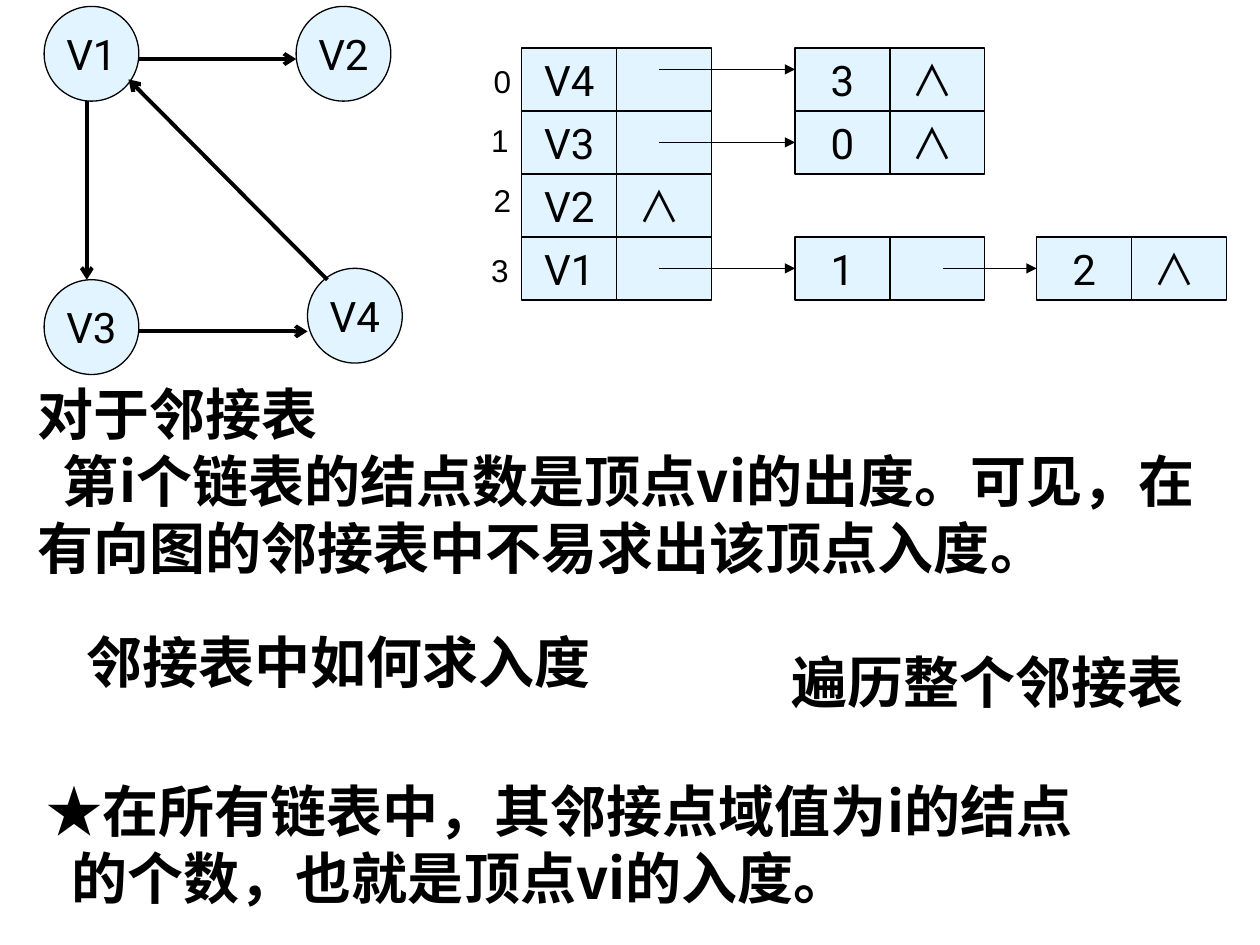
from pptx import Presentation
from pptx.dml.color import RGBColor
from pptx.enum.shapes import MSO_CONNECTOR as Link, MSO_SHAPE as Form
from pptx.enum.text import MSO_ANCHOR as Anchor, PP_ALIGN as Align
from pptx.oxml.ns import qn
from pptx.util import Cm, Pt
from lxml.etree import SubElement

INK, PALE = "000000", "E1F4FF"
ROMAN, HAN, PLAIN = "Roboto", "Noto Sans CJK SC", "Arial"


def paint(hue):
    return RGBColor.from_string(hue)


class Board:
    """Holds the style and the current slide."""

    node = {"name": ROMAN, "size": Pt(24), "bold": False}
    mark = {"name": HAN, "size": Pt(24), "bold": False}
    label = {"name": PLAIN, "size": Pt(18), "bold": False}
    prose = {"name": HAN, "size": Pt(32), "bold": True}
    star = {"name": PLAIN, "size": Pt(32), "bold": True}

    def __init__(self, slide):
        self.shapes = slide.shapes

    def words(self, para, text, style):
        run = para.add_run()
        run.text = text
        for key, value in style.items():
            setattr(run.font, key, value)
        run.font.color.rgb = paint(INK)
        SubElement(run.font._element, qn("a:ea")).set("typeface", style["name"])

    def block(self, form, x, y, w, h, text=""):
        item = self.shapes.add_shape(form, Cm(x), Cm(y), Cm(w), Cm(h))
        item.shadow.inherit = False
        item.fill.solid()
        item.fill.fore_color.rgb = paint(PALE)
        item.line.color.rgb = paint(INK)
        item.line.width = Pt(0.75)
        if text:
            frame = item.text_frame
            frame.word_wrap = False
            frame.vertical_anchor = Anchor.MIDDLE
            para = frame.paragraphs[0]
            para.alignment = Align.CENTER
            self.words(para, text, self.mark if "∧" in text else self.node)

    def arrow(self, x1, y1, x2, y2, width, head):
        line = self.shapes.add_connector(
            Link.STRAIGHT, Cm(x1), Cm(y1), Cm(x2), Cm(y2))
        line.line.color.rgb = paint(INK)
        line.line.width = Pt(width)
        spot = line._element.spPr
        SubElement(spot.find(qn("a:ln")), qn("a:tailEnd")).set("type", head)
        SubElement(spot, qn("a:effectLst"))

    def text(self, x, y, w, h, paras, wrap=False):
        """Each paragraph is an indent in cm and a list of (text, style)."""
        box = self.shapes.add_textbox(Cm(x), Cm(y), Cm(w), Cm(h))
        frame = box.text_frame
        frame.word_wrap = wrap
        for i, (indent, runs) in enumerate(paras):
            para = frame.add_paragraph() if i else frame.paragraphs[0]
            if indent:
                para._p.get_or_add_pPr().set("indent", str(Cm(indent)))
            for text, style in runs:
                self.words(para, text, style)
                if style is self.prose:
                    para.line_spacing = Pt(38.4)


def main():
    deck = Presentation()
    deck.slide_width, deck.slide_height = Cm(25.4), Cm(19.05)
    board = Board(deck.slides.add_slide(deck.slide_layouts[6]))

    # Directed graph
    for name, x, y in [("V1", 0.89, 0.13), ("V4", 6.2, 5.41),
                       ("V2", 5.97, 0.13), ("V3", 0.89, 5.64)]:
        board.block(Form.OVAL, x, y, 1.91, 1.91, name)
    for ends in [(2.79, 1.19, 5.97, 1.19), (1.75, 2.03, 1.75, 5.64),
                 (2.79, 6.68, 6.2, 6.68), (6.6, 5.64, 2.59, 1.6)]:
        board.arrow(*ends, 2.25, "arrow")

    # Adjacency list: column start, row, data field, link field
    wide, high, top = 1.91, 1.27, 0.97
    head, first, second = 10.52, 16.03, 20.9
    end = "∧ "
    for x, row, data, link in [
            (head, 0, "V4", ""), (head, 1, "V3", ""),
            (head, 2, "V2", end), (head, 3, "V1", ""),
            (first, 0, "3", end), (first, 1, "0", end),
            (first, 3, "1", ""), (second, 3, "2", end)]:
        for col, text in enumerate((data, link)):
            board.block(Form.RECTANGLE, x + col * wide, top + row * high,
                        wide, high, text)

    # Links between list cells
    for x1, x2, y in [(13.28, first, 1.4), (13.28, first, 2.87),
                      (13.28, first, 5.41), (19, second, 5.41)]:
        board.arrow(x1, y, x2, y, 0.75, "triangle")

    # Row numbers
    for i, y in enumerate((1.12, 2.31, 3.53, 4.93)):
        x = 9.65 if i % 2 else 9.7
        board.text(x, y, 0.86, 1.02, [(0, [(str(i), board.label)])])

    # Explanation
    prose = board.prose
    board.text(0.51, 7.52, 24, 4.32, [
        (0, [("对于邻接表", prose)]),
        (0.51, [("第i个链表的结点数是顶点vi的出度。可见，"
                 "在有向图的邻接表中不易求出该顶点入度。", prose)]),
    ], wrap=True)

    # Question and answer
    board.text(1.5, 12.52, 10.72, 1.6, [(0, [("邻接表中如何求入度", prose)])])
    board.text(15.7, 12.93, 8.81, 1.6, [(0, [("遍历整个邻接表", prose)])], wrap=True)

    # Rule for the in-degree
    board.text(0.69, 15.52, 23.42, 2.97, [
        (0, [("★", board.star), ("在所有链表中，其邻接点域值为i的结点", prose)]),
        (0.51, [("的个数，也就是顶点vi的入度。", prose)]),
    ], wrap=True)

    deck.save("out.pptx")


if __name__ == "__main__":
    main()
